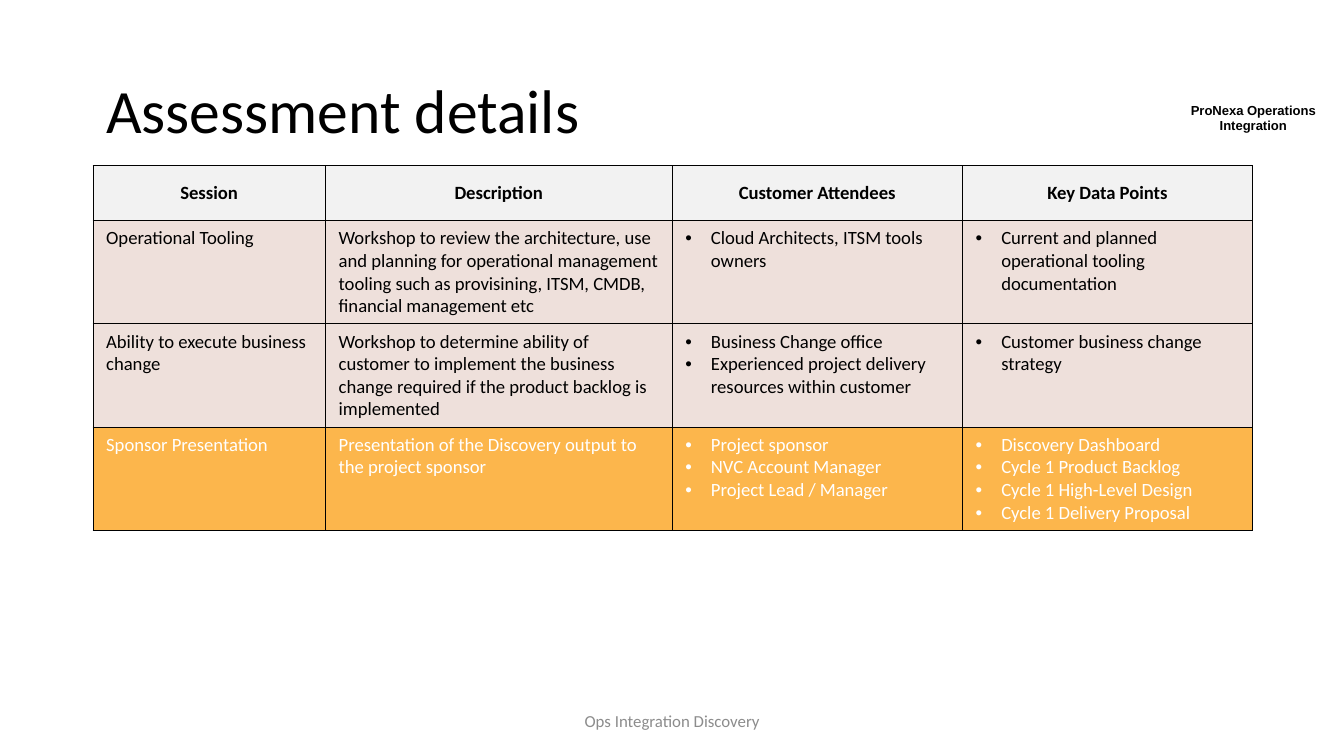
from lxml import etree
from pptx import Presentation
from pptx.dml.color import RGBColor
from pptx.enum import text
from pptx.oxml import ns
from pptx.util import Inches, Pt

# Content: a list in a cell is bulleted
TITLE = "Assessment details"
TAG = "ProNexa Operations Integration"
FOOTER = "Ops Integration Discovery"
HEADERS = ["Session", "Description", "Customer Attendees", "Key Data Points"]
SESSIONS = [
    ["Operational Tooling",
     "Workshop to review the architecture, use and planning for operational "
     "management tooling such as provisining, ITSM, CMDB, financial management etc",
     ["Cloud Architects, ITSM tools owners"],
     ["Current and planned operational tooling documentation"]],
    ["Ability to execute business change",
     "Workshop to determine ability of customer to implement the business "
     "change required if the product backlog is implemented",
     ["Business Change office",
      "Experienced project delivery resources within customer"],
     ["Customer business change strategy"]],
    ["Sponsor Presentation",
     "Presentation of the Discovery output to the project sponsor",
     ["Project sponsor", "NVC Account Manager", "Project Lead / Manager"],
     ["Discovery Dashboard", "Cycle 1 Product Backlog",
      "Cycle 1 High-Level Design", "Cycle 1 Delivery Proposal"]],
]

# Format
BLACK, WHITE, GRAY = "000000", "FFFFFF", "8C8C8C"
HEADER_FILL, SESSION_FILL, SPONSOR_FILL = "F2F2F2", "EEE0DB", "FCB64C"
COL_WIDTHS = [1.73, 2.58, 2.16, 2.16]
ROW_HEIGHT = 0.41  # minimum: rows grow with their text
LEFT, WIDTH, TABLE_HEIGHT = 0.69, 8.62, 2.71
CENTER, MIDDLE = text.PP_ALIGN.CENTER, text.MSO_ANCHOR.MIDDLE


def rgb(value):
    return RGBColor.from_string(value)


def add_bullet(p):
    pPr = p._p.get_or_add_pPr()
    pPr.set("marL", str(Inches(0.19)))
    pPr.set("indent", str(-Inches(0.19)))
    etree.SubElement(pPr, ns.qn("a:buFont"), typeface="Arial")
    etree.SubElement(pPr, ns.qn("a:buChar"), char="•")


def write(tf, content, size=10, color=BLACK, font="Calibri", bold=False,
          align=text.PP_ALIGN.LEFT, spacing=None):
    bulleted = isinstance(content, list)
    for i, line in enumerate(content if bulleted else [content]):
        p = tf.add_paragraph() if i else tf.paragraphs[0]
        p.alignment = align
        if spacing:
            p.line_spacing = spacing
        if bulleted:
            add_bullet(p)
        r = p.add_run()
        r.text = line
        r.font.size, r.font.name, r.font.bold = Pt(size), font, bold
        r.font.color.rgb = rgb(color)


def add_text(s, content, x, y, w, h, anchor=text.MSO_ANCHOR.TOP, **fmt):
    tf = s.shapes.add_textbox(Inches(x), Inches(y), Inches(w), Inches(h)).text_frame
    tf.word_wrap = True
    tf.vertical_anchor = anchor
    write(tf, content, **fmt)


def style_cell(cell, fill):
    # Borders must come before the fill in tcPr
    tcPr = cell._tc.get_or_add_tcPr()
    for side in ("lnL", "lnR", "lnT", "lnB"):
        ln = etree.SubElement(tcPr, ns.qn("a:" + side), w=str(Pt(0.25)))
        solid = etree.SubElement(ln, ns.qn("a:solidFill"))
        etree.SubElement(solid, ns.qn("a:srgbClr"), val=BLACK)
    cell.fill.solid()
    cell.fill.fore_color.rgb = rgb(fill)


prs = Presentation()
prs.slide_width = Inches(10)
prs.slide_height = prs.slide_width * 9 // 16
s = prs.slides.add_slide(prs.slide_layouts[5])

# Title, corner tag and footer
title = s.shapes.title
title.left, title.top = Inches(LEFT), Inches(0.3)
title.width, title.height = Inches(WIDTH), Inches(1.09)
title.text_frame.vertical_anchor = MIDDLE
write(title.text_frame, TITLE, size=33, spacing=0.9)
add_text(s, TAG, 8.74, 0.71, 1.17, 0.45, size=7, font="Arial", bold=True, align=CENTER)
add_text(s, FOOTER, 3.31, 5.21, 3.38, 0.3, anchor=MIDDLE, size=9, color=GRAY, align=CENTER)

# Table
rows = [HEADERS] + SESSIONS
frame = s.shapes.add_table(len(rows), len(HEADERS), Inches(LEFT), Inches(1.23),
                           Inches(WIDTH), Inches(TABLE_HEIGHT))
table = frame.table
table.horz_banding = False
for col, width in zip(table.columns, COL_WIDTHS):
    col.width = Inches(width)
for i, row in enumerate(rows):
    header, sponsor = i == 0, i == len(rows) - 1
    table.rows[i].height = Inches(ROW_HEIGHT)
    fill = HEADER_FILL if header else SPONSOR_FILL if sponsor else SESSION_FILL
    for j, content in enumerate(row):
        cell = table.cell(i, j)
        style_cell(cell, fill)
        if header:
            cell.vertical_anchor = MIDDLE
            write(cell.text_frame, content, bold=True, align=CENTER)
        else:
            write(cell.text_frame, content, color=WHITE if sponsor else BLACK)
frame.height = Inches(TABLE_HEIGHT)

prs.save("out.pptx")
